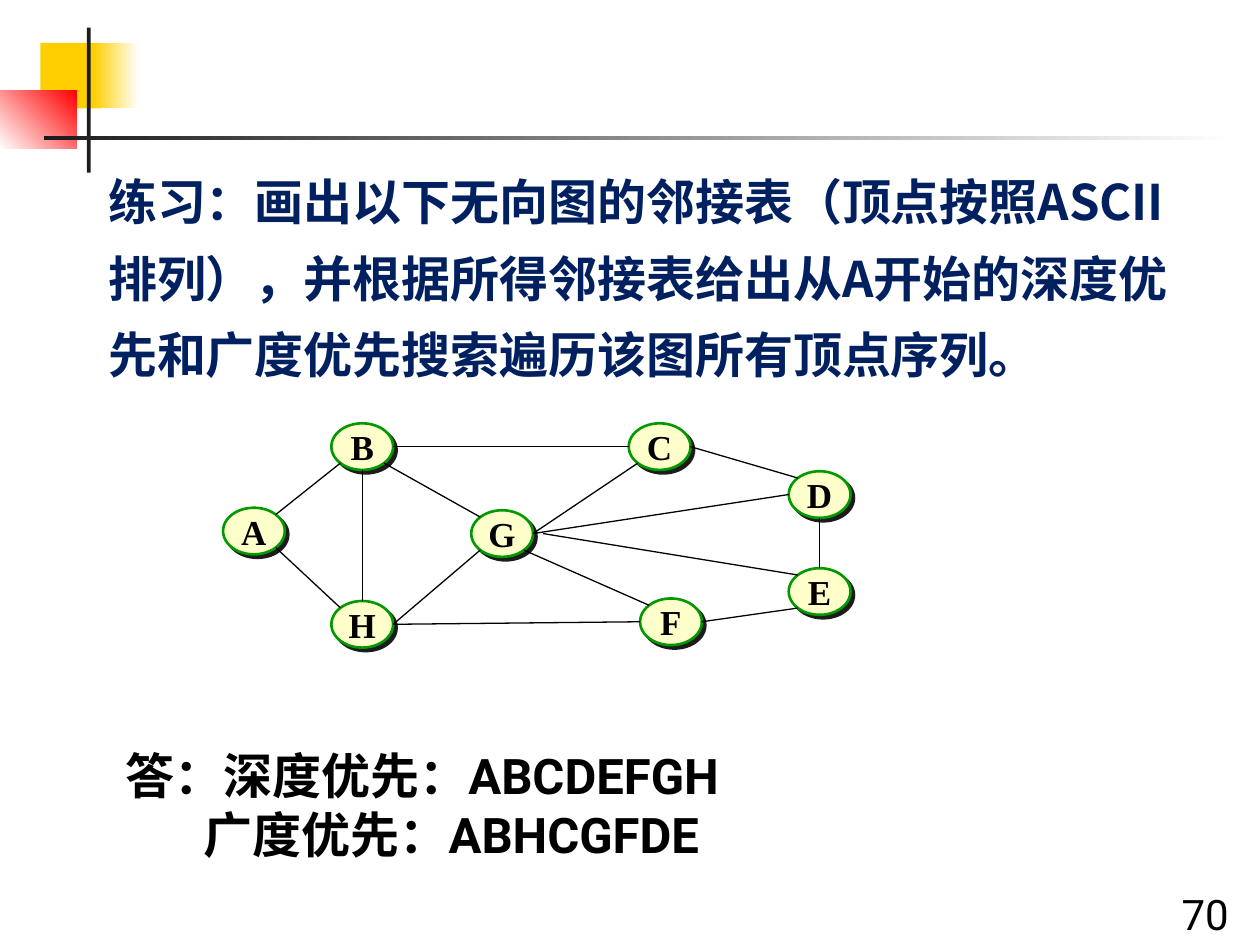
import pptx
import pptx.util
import pptx.dml.color
import pptx.enum.shapes
import pptx.enum.text
import pptx.oxml
import pptx.oxml.ns
from pptx.util import Inches

NS = pptx.oxml.ns.nsdecls("a")
KIND = pptx.enum.shapes.MSO_SHAPE
ANCHOR = pptx.enum.text.MSO_ANCHOR


def color(code):
    return pptx.dml.color.RGBColor.from_string(code)


def write(para, text, size, face, code, bold=True):
    run = para.add_run()
    run.text = text
    look = {"size": pptx.util.Pt(size), "name": face, "bold": bold}
    for key, value in look.items():
        setattr(run.font, key, value)
    run.font.color.rgb = color(code)
    east = f'<a:ea {NS} typeface="Noto Sans CJK SC"/>'
    run.font._element.append(pptx.oxml.parse_xml(east))


deck = pptx.Presentation()
deck.slide_width, deck.slide_height = Inches(10), Inches(7.5)
slide = deck.slides.add_slide(deck.slide_layouts[6])
shapes = slide.shapes

bars = [
    ((0.32, 0.34, 0.48, 0.52), ["FFCF01"], 0),
    ((0.74, 0.34, 0.36, 0.52), ["FFCF01", "FFFFFF"], 0),
    ((0, 0.72, 0.61, 0.46), ["FFFFFF", "FF0000"], 45),
    ((0.69, 0.22, 0.03, 1.15), ["1C1C1C"], 0),
    ((0.35, 1.08, 9.45, 0.03), ["1C1C1C", "FFFFFF"], 0),
]
for area, tints, angle in bars:
    bar = shapes.add_shape(KIND.RECTANGLE, *map(Inches, area))
    bar.shadow.inherit = False
    bar.line.fill.background()
    if len(tints) == 1:
        bar.fill.solid()
        bar.fill.fore_color.rgb = color(tints[0])
    else:
        bar.fill.gradient()
        bar.fill.gradient_angle = angle
        for stop, tint in zip(bar.fill.gradient_stops, tints):
            stop.color.rgb = color(tint)

page = shapes.add_textbox(Inches(9.28), Inches(7), Inches(0.72), Inches(0.5))
write(page.text_frame.paragraphs[0], "70", 24, "Roboto", "000000", False)

task = shapes.add_textbox(Inches(0.76), Inches(1.21), Inches(8.78), Inches(1.85))
task.text_frame.word_wrap = True
task.text_frame.vertical_anchor = ANCHOR.MIDDLE
para = task.text_frame.paragraphs[0]
para.line_spacing = 1.3
write(
    para,
    "练习：画出以下无向图的邻接表（顶点按照ASCII排列），"
    "并根据所得邻接表给出从A开始的深度优先和广度优先搜索遍历该图所有顶点序列。",
    28, "Noto Sans CJK SC", "002060",
)

wide, high = 0.49, 0.37
nodes = {
    "D": (6.26, 3.74), "B": (2.63, 3.36), "H": (2.63, 4.77), "G": (3.74, 4.05),
    "C": (4.99, 3.36), "F": (5.08, 4.75), "A": (1.77, 4.03), "E": (6.26, 4.51),
}
for name, (left, top) in nodes.items():
    node = shapes.add_shape(
        KIND.OVAL, Inches(left), Inches(top), Inches(wide), Inches(high)
    )
    node.fill.solid()
    node.fill.fore_color.rgb = color("FFFFCC")
    node.line.color.rgb = color("009900")
    node.line.width = pptx.util.Pt(1.5)
    node._element.spPr.append(pptx.oxml.parse_xml(
        f'<a:effectLst {NS}><a:outerShdw dist="35560" dir="2700000" algn="ctr" '
        'rotWithShape="0"><a:srgbClr val="1C1C1C"/></a:outerShdw></a:effectLst>'
    ))
    frame = node.text_frame
    frame.word_wrap = False
    frame.vertical_anchor = ANCHOR.MIDDLE
    para = frame.paragraphs[0]
    para.alignment = pptx.enum.text.PP_ALIGN.CENTER
    write(para, name, 20, "Times New Roman", "000000")

sides = {
    "n": (0, -1), "s": (0, 1), "w": (-1, 0), "e": (1, 0),
    "nw": (-0.71, -0.71), "ne": (0.71, -0.71),
    "sw": (-0.71, 0.71), "se": (0.71, 0.71),
}
edges = [
    "B e C w", "A ne B sw", "A se H nw", "B s H n", "B se G nw",
    "H e G sw", "H e F w", "G e C sw", "G se F nw", "G e D w",
    "G e E nw", "D s E n", "F e E sw", "C e D nw",
]
for edge in edges:
    start, out, end, into = edge.split()
    ends = []
    for name, side in ((start, out), (end, into)):
        for base, part, span in zip(nodes[name], sides[side], (wide, high)):
            ends.append(Inches(base + span / 2 * (1 + part)))
    if start + end == "GE":
        ends[0] += Inches(0.08)
    line = shapes.add_connector(pptx.enum.shapes.MSO_CONNECTOR.STRAIGHT, *ends)
    line.line.color.rgb = color("000000")
    line.line.width = pptx.util.Pt(0.75)
    line._element.spPr.append(pptx.oxml.parse_xml(f"<a:effectLst {NS}/>"))

key = shapes.add_textbox(Inches(0.9), Inches(5.87), Inches(5.15), Inches(1.04))
frame = key.text_frame
frame.word_wrap = True
write(frame.paragraphs[0], "答：深度优先：ABCDEFGH", 28, "Roboto", "000000")
para = frame.add_paragraph()
para._p.get_or_add_pPr().set("marL", str(Inches(0.62)))
write(para, "广度优先：ABHCGFDE", 28, "Roboto", "000000")

deck.save("out.pptx")
